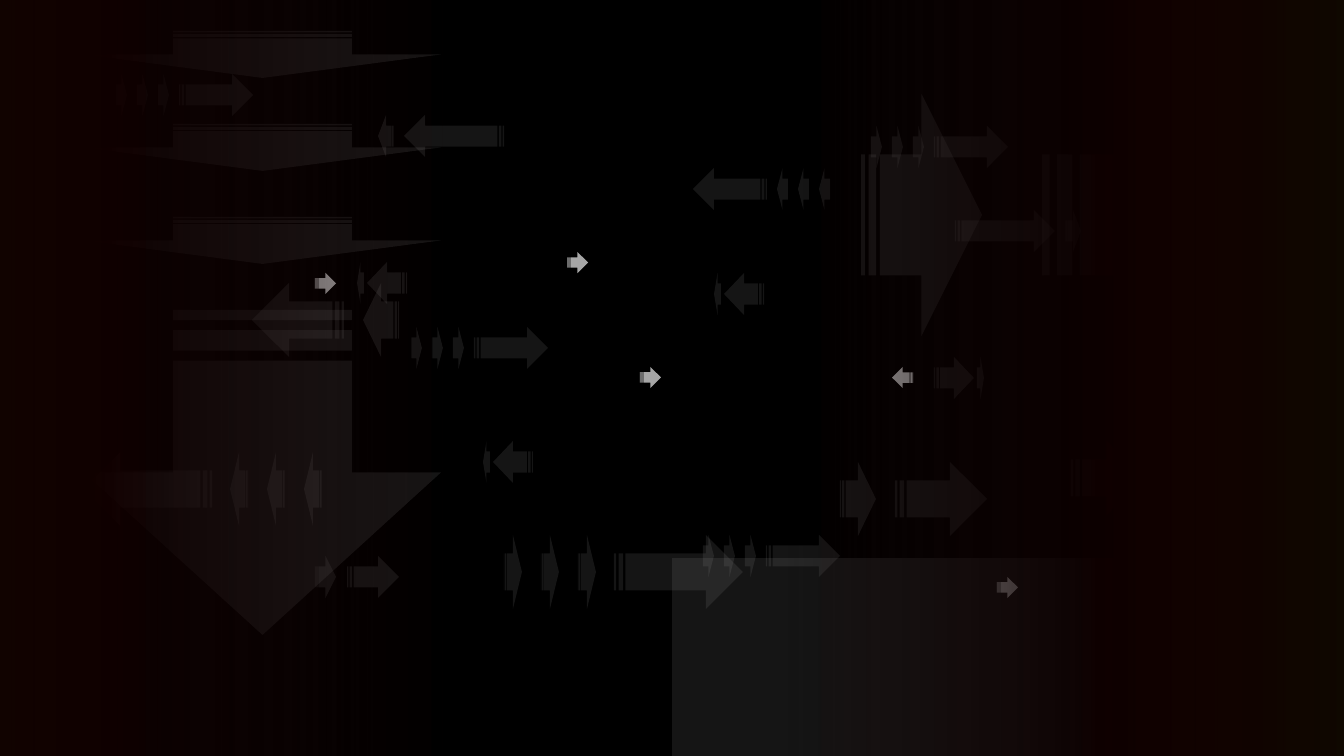
"""Build a dark slide of faint striped arrows under fading side veils."""
from lxml import etree
from pptx import Presentation
from pptx.dml.color import RGBColor
from pptx.enum.shapes import MSO_SHAPE
from pptx.oxml.ns import qn

PX = 9144000 / 1344
ARROW, RECT = MSO_SHAPE.STRIPED_RIGHT_ARROW, MSO_SHAPE.RECTANGLE
RIGHT, DOWN, LEFT = 0, 90, 180

BLACK = RGBColor(0x00, 0x00, 0x00)
NEAR_BLACK = RGBColor(0x0D, 0x0D, 0x0D)
GREY = RGBColor(0x80, 0x80, 0x80)
LIGHT_GREY = RGBColor(0xA6, 0xA6, 0xA6)
DARK_RED = RGBColor(0xC0, 0x00, 0x00)
RED = RGBColor(0xFF, 0x00, 0x00)
GREEN = RGBColor(0x00, 0xC0, 0x09)
FAINT = 17

# Each train: thickness, then (offset, length) of its arrows in travel order.
TRAINS = {
    "single": (21, [(0, 21)]),
    "convoy": (42, [(0, 11), (21, 11), (42, 11), (63, 74)]),
    "big convoy": (74, [(0, 18), (37, 18), (74, 18), (110, 129)]),
    "short pair": (42, [(0, 40), (43, 7)]),
    "long pair": (42, [(0, 100), (110, 16)]),
    "tall pair": (74, [(0, 71), (78, 12)]),
    "rising pair": (42, [(0, 21), (32, 52)]),
    "big rising pair": (74, [(0, 36), (55, 92)]),
    "giant pair": (242, [(0, 121), (181, 302)]),
    "column": (357, [(0, 47), (93, 47), (186, 47), (279, 325)]),
}
PLACES = [
    ("convoy", RIGHT, 116, 74), ("short pair", LEFT, 357, 262),
    ("rising pair", RIGHT, 315, 556), ("single", RIGHT, 567, 252),
    ("single", RIGHT, 315, 273), ("long pair", LEFT, 378, 115),
    ("giant pair", RIGHT, 861, 94), ("convoy", RIGHT, 411, 327),
    ("short pair", LEFT, 483, 441), ("big convoy", LEFT, 83, 452),
    ("tall pair", RIGHT, 1071, 441), ("big rising pair", LEFT, 252, 283),
    ("convoy", RIGHT, 871, 126), ("short pair", LEFT, 714, 273),
    ("single", RIGHT, 997, 577), ("single", RIGHT, 640, 367),
    ("convoy", RIGHT, 703, 535), ("column", DOWN, 84, 31),
    ("convoy", LEFT, 693, 168), ("short pair", RIGHT, 934, 357),
    ("single", LEFT, 892, 367), ("long pair", RIGHT, 955, 210),
    ("big convoy", RIGHT, 504, 535), ("big rising pair", RIGHT, 840, 462),
]
PANEL = (672, 558, 764, 199)
VEIL_WIDTH, VEIL_HEIGHT = 661, 925
DARK_FADE = [(0.48, BLACK, 100), (1, NEAR_BLACK, 0)]
RED_FADE = [(0.48, DARK_RED, 6), (1, RED, 0)]
GREEN_FADE = [(0.48, GREEN, 6), (1, RED, 0)]
VEILS = [
    (788, -126, 0, DARK_FADE), (-242, -126, 180, DARK_FADE),
    (810, -103, 0, RED_FADE), (-219, -103, 180, RED_FADE),
    (1071, -94, 0, GREEN_FADE), (-504, -116, 180, GREEN_FADE),
]


def set_opacity(color_parent, percent):
    for color in color_parent.iter(qn("a:srgbClr")):
        etree.SubElement(color, qn("a:alpha"), val=str(percent * 1000))


def add_plain(shapes, preset, box, rotation=0):
    shape = shapes.add_shape(preset, *(round(length * PX) for length in box))
    shape.rotation = rotation
    shape.shadow.inherit = False
    shape.line.fill.background()
    return shape


def add_solid(shapes, preset, box, color, opacity=100, rotation=0):
    shape = add_plain(shapes, preset, box, rotation)
    shape.fill.solid()
    shape.fill.fore_color.rgb = color
    if opacity < 100:
        set_opacity(shape.element.spPr, opacity)


def add_train(shapes, name, direction, left, top):
    thickness, arrows = TRAINS[name]
    total = sum(arrows[-1])
    alone = len(arrows) == 1
    target = shapes if alone else shapes.add_group_shape().shapes
    color, opacity = (LIGHT_GREY, 100) if alone else (GREY, FAINT)
    for offset, length in arrows:
        if direction == DOWN:
            shift = (thickness - length) / 2
            box = (left + shift, top + offset - shift, length, thickness)
        else:
            along = total - offset - length if direction == LEFT else offset
            box = (left + along, top, length, thickness)
        add_solid(target, ARROW, box, color, opacity, direction)


def add_veil(shapes, left, top, rotation, fade):
    veil = add_plain(shapes, RECT, (left, top, VEIL_WIDTH, VEIL_HEIGHT), rotation)
    veil.fill.gradient()
    veil.fill.gradient_angle = 180
    for stop, (position, color, _) in zip(veil.fill.gradient_stops, fade):
        stop.position = position
        stop.color.rgb = color
    stops = veil.element.spPr.iter(qn("a:gs"))
    for stop, (_, _, opacity) in zip(stops, fade):
        set_opacity(stop, opacity)


def main():
    deck = Presentation()
    deck.slide_width, deck.slide_height = round(1344 * PX), round(756 * PX)
    slide = deck.slides.add_slide(deck.slide_layouts[6])
    slide.background.fill.solid()
    slide.background.fill.fore_color.rgb = BLACK
    add_solid(slide.shapes, RECT, PANEL, GREY, FAINT)
    for place in PLACES:
        add_train(slide.shapes, *place)
    for veil in VEILS:
        add_veil(slide.shapes, *veil)
    deck.save("out.pptx")


if __name__ == "__main__":
    main()
